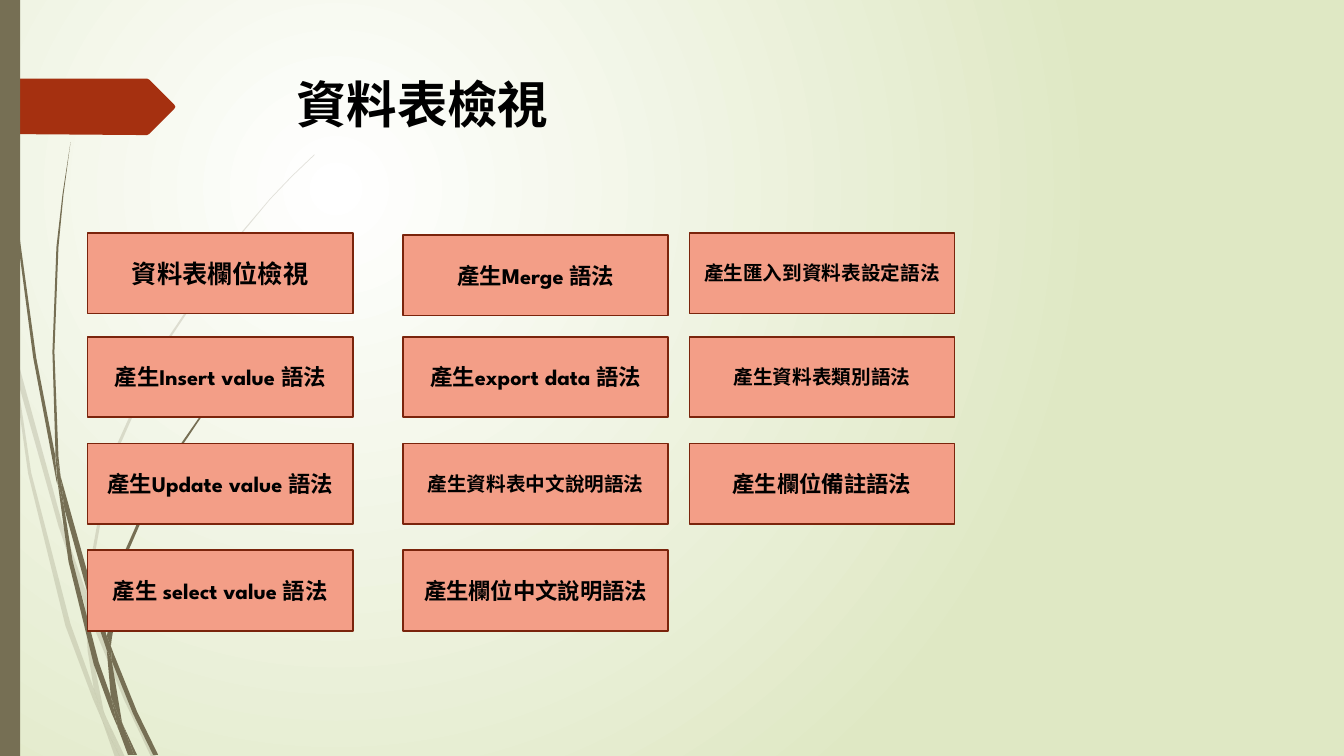
from pptx import Presentation
from pptx.dml.color import RGBColor
from pptx.enum import shapes, text
from pptx.oxml import parse_xml
from pptx.oxml.ns import nsdecls, qn
from pptx.util import Pt

WHITE = RGBColor(0xFF, 0xFF, 0xFF)
PALE_GREEN = RGBColor(0xDF, 0xE8, 0xC4)
OLIVE = RGBColor(0x76, 0x6F, 0x54)
RUST = RGBColor(0xA5, 0x30, 0x10)
SALMON = RGBColor(0xF3, 0x9E, 0x87)
BROWN = RGBColor(0x7A, 0x24, 0x0C)
BLACK = RGBColor(0, 0, 0)
FONT = "League Spartan"
GRID = Pt(0.72)

FAINT_STEMS = [
    [(11, 350), (9, 322), (0, 282), (0, 299), (10, 344)],
    [(58, 522), (84, 599), (85, 586), (62, 520), (14, 345), (17, 376)],
    [(92, 607), (88, 596), (88, 610), (123, 694), (150, 751), (155, 751), (127, 692)],
    [(119, 751), (124, 751), (105, 711)],
    [(93, 683), (70, 619), (31, 469), (17, 376), (11, 350), (28, 470), (65, 621),
     (92, 693), (101, 714), (99, 707)],
    [(84, 599), (87, 646), (93, 683), (96, 692), (105, 711), (103, 706), (91, 646),
     (88, 610), (88, 608)],
    [(88, 584), (110, 462), (160, 349), (229, 245), (268, 198), (290, 175), (312, 154),
     (312, 153), (289, 175), (268, 197), (228, 244), (158, 348), (107, 461), (85, 584),
     (85, 586), (88, 596)],
    [(101, 714), (114, 751), (119, 751)],
    [(88, 608), (88, 610), (88, 596), (85, 586), (84, 599)],
    [(96, 692), (93, 683), (99, 707), (101, 714), (119, 751), (105, 711)],
]
DARK_STEMS = [
    [(7, 110), (17, 233), (33, 355), (56, 477), (57, 481), (55, 457), (55, 453),
     (36, 355), (19, 232), (8, 109), (5, 48), (4, 0), (3, 0), (4, 48)],
    [(88, 592), (106, 645), (106, 631), (93, 590), (60, 472), (64, 505)],
    [(113, 649), (110, 641), (111, 656), (132, 708), (152, 749), (157, 749), (136, 706)],
    [(110, 691), (98, 657), (72, 556), (64, 505), (57, 477), (68, 557), (93, 659),
     (111, 708), (117, 722), (116, 717)],
    [(60, 472), (58, 453), (54, 349), (58, 245), (63, 193), (70, 141), (62, 193),
     (56, 245), (52, 349), (55, 449)],
    [(133, 749), (136, 749), (122, 719)],
    [(57, 477), (64, 505), (60, 472), (55, 449), (55, 453)],
    [(111, 633), (125, 552), (158, 476), (205, 406), (231, 374), (245, 359), (261, 344),
     (260, 344), (245, 358), (231, 373), (204, 405), (156, 474), (122, 551), (106, 631),
     (110, 641)],
    [(117, 722), (127, 749), (131, 749)],
    [(106, 645), (110, 691), (116, 706), (122, 719), (121, 716), (111, 656), (109, 651)],
    [(106, 645), (109, 651), (111, 656), (110, 641), (106, 631)],
    [(116, 706), (110, 691), (116, 717), (117, 722), (130, 749), (133, 749), (122, 719)],
]
TAG = [(0, 78), (146, 78), (148, 79), (173, 104), (174, 106), (173, 108), (148, 133),
       (146, 134), (136, 134), (0, 133)]

ROW_TOPS = [166.3, 240.5, 316.8, 393.1]
COLUMNS = [
    (62.6, 0, [("資料表欄位檢視", 18), ("產生Insert value 語法", 16),
               ("產生Update value 語法", 16), ("產生 select value 語法", 16)]),
    (288, 1.5, [("產生Merge 語法", 16), ("產生export data 語法", 16),
                ("產生資料表中文說明語法", 14), ("產生欄位中文說明語法", 16)]),
    (492.5, 0, [("產生匯入到資料表設定語法", 14), ("產生資料表類別語法", 14),
                ("產生欄位備註語法", 16)]),
]


def paint(shape, color):
    shape.shadow.inherit = False
    shape.fill.solid()
    shape.fill.fore_color.rgb = color
    shape.line.fill.background()


def write(shape, words, size):
    shape.text_frame.word_wrap = True
    para = shape.text_frame.paragraphs[0]
    para.text = words
    for span in para.runs:
        span.font.name = FONT
        span.font.size = Pt(size)
        span.font.bold = True
        span.font.color.rgb = BLACK
    return para


deck = Presentation()
deck.slide_width = Pt(960)
deck.slide_height = Pt(540)
page = deck.slides.add_slide(deck.slide_layouts[6])

backdrop = page.background.fill
backdrop.gradient()
for stop, color, position in zip(backdrop.gradient_stops, (WHITE, PALE_GREEN), (0, 1)):
    stop.color.rgb = color
    stop.position = position
gradient = next(page._element.iter(qn("a:gradFill")))
gradient.remove(gradient.find(qn("a:lin")))
gradient.append(parse_xml(
    f'<a:path {nsdecls("a")} path="circle">'
    '<a:fillToRect l="50000" t="50000" r="100000" b="100000"/></a:path>'))

outlines = [(stem, OLIVE, 20) for stem in FAINT_STEMS]
outlines += [(stem, OLIVE, 100) for stem in DARK_STEMS]
outlines.append((TAG, RUST, 100))
for points, color, opacity in outlines:
    builder = page.shapes.build_freeform(*points[0], scale=GRID)
    builder.add_line_segments(points[1:], close=True)
    outline = builder.convert_to_shape()
    paint(outline, color)
    if opacity < 100:
        tint = next(outline._element.spPr.iter(qn("a:srgbClr")))
        tint.append(parse_xml(f'<a:alpha {nsdecls("a")} val="{opacity * 1000}"/>'))

side_bar = page.shapes.add_shape(shapes.MSO_SHAPE.RECTANGLE, 0, 0, Pt(14.4), Pt(540))
paint(side_bar, OLIVE)

title = page.shapes.add_textbox(Pt(204.5), Pt(49), Pt(702), Pt(100.8))
write(title, "資料表檢視", 36)

for left, first_drop, buttons in COLUMNS:
    for row, (label, size) in enumerate(buttons):
        top = ROW_TOPS[row] + (first_drop if row == 0 else 0)
        box = page.shapes.add_shape(
            shapes.MSO_SHAPE.RECTANGLE, Pt(left), Pt(top), Pt(189.4), Pt(57.6))
        paint(box, SALMON)
        box.line.color.rgb = BROWN
        box.line.width = Pt(1.25)
        box.text_frame.vertical_anchor = text.MSO_ANCHOR.MIDDLE
        write(box, label, size).alignment = text.PP_ALIGN.CENTER

deck.save("out.pptx")
